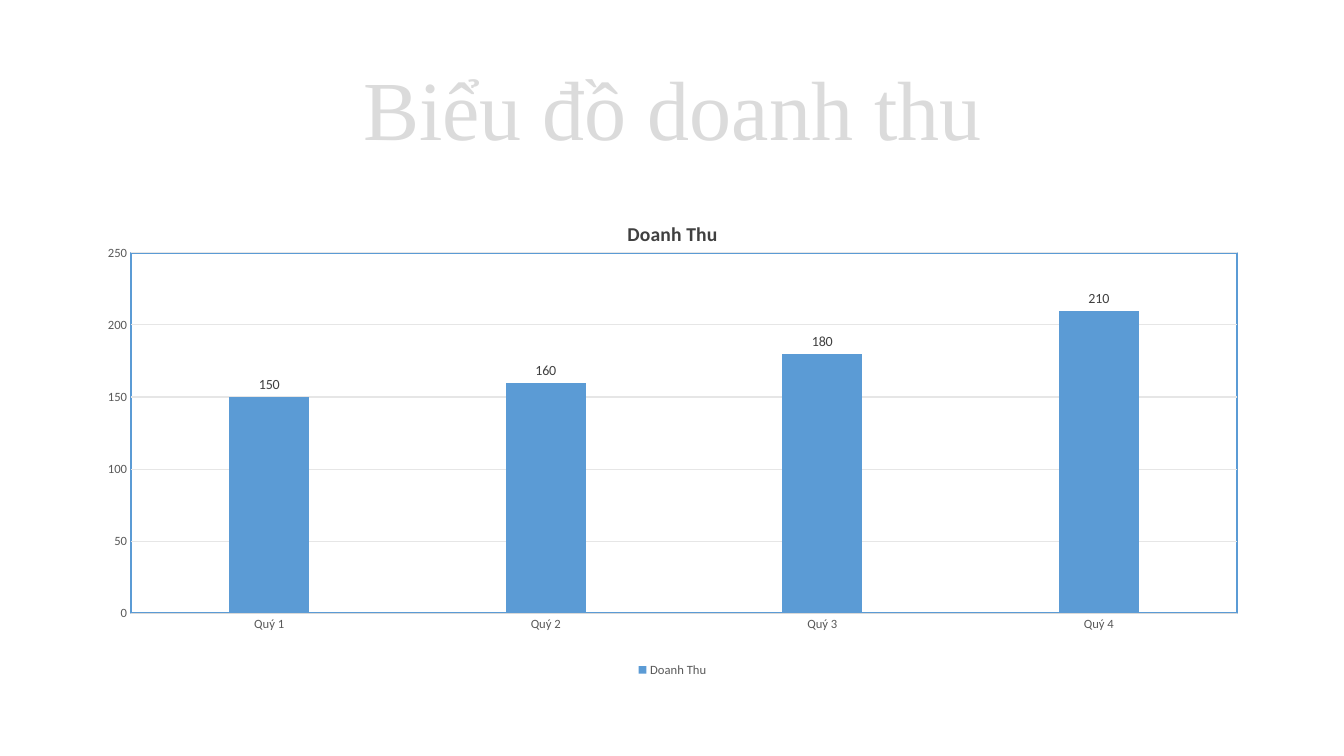
"""Build the quarterly revenue chart slide."""
from lxml import etree
from pptx import Presentation
from pptx.chart.data import CategoryChartData
from pptx.dml.color import RGBColor
from pptx.enum.chart import XL_CHART_TYPE, XL_LABEL_POSITION, XL_LEGEND_POSITION, XL_TICK_MARK
from pptx.enum.dml import MSO_PATTERN
from pptx.enum.text import MSO_ANCHOR, PP_ALIGN
from pptx.oxml import parse_xml
from pptx.oxml.ns import nsdecls, qn
from pptx.util import Emu, Pt

HEADING = "Biểu đồ doanh thu"
SERIES_NAME = "Doanh Thu"
REVENUE = {"Quý 1": 150, "Quý 2": 160, "Quý 3": 180, "Quý 4": 210}

PX = 9144
SLIDE_SIZE = (1333, 750)
HEADING_BOX = (92, 40, 1150, 145)
CHART_BOX = (92, 200, 1150, 476)
PLOT_LAYOUT = {"x": 0.033, "y": 0.107, "w": 0.954, "h": 0.751}

BLUE = RGBColor(0x5B, 0x9B, 0xD5)
BLACK = RGBColor(0, 0, 0)
DARK = RGBColor(0x40, 0x40, 0x40)
GREY = RGBColor(0x59, 0x59, 0x59)
AXIS = RGBColor(0xD9, 0xD9, 0xD9)
GRID = RGBColor(0xE6, 0xE6, 0xE6)
HATCH = RGBColor(0xA5, 0xA5, 0xA5)
PALE = RGBColor(0xDB, 0xDB, 0xDB)
OUTLINE = RGBColor(0x52, 0x52, 0x52)

COLUMNS = XL_CHART_TYPE.COLUMN_CLUSTERED
OUTSIDE_END = XL_LABEL_POSITION.OUTSIDE_END
BOTTOM = XL_LEGEND_POSITION.BOTTOM
NO_TICK = XL_TICK_MARK.NONE
NARROW_HORIZONTAL = MSO_PATTERN.NARROW_HORIZONTAL
CENTER = PP_ALIGN.CENTER
MIDDLE = MSO_ANCHOR.MIDDLE


def emu(box):
    return [Emu(length * PX) for length in box]


def style(font, size, color, bold=False):
    font.name, font.size, font.bold = "Calibri", Pt(size), bold
    font.color.rgb = color


def rule(line, color):
    line.color.rgb, line.width = color, Pt(0.75)


def outline_xml(color, width):
    return parse_xml(f'<a:ln {nsdecls("a")} w="{Pt(width)}"><a:solidFill>'
                     f'<a:srgbClr val="{color}"/></a:solidFill></a:ln>')


def add_heading(slide):
    heading = slide.shapes.title
    heading.left, heading.top, heading.width, heading.height = emu(HEADING_BOX)
    heading.text_frame.vertical_anchor = MIDDLE
    heading.text_frame.word_wrap = True
    paragraph = heading.text_frame.paragraphs[0]
    paragraph.alignment, paragraph.line_spacing = CENTER, 0.9
    run = paragraph.add_run()
    run.text = HEADING
    run.font.name, run.font.size = "Times New Roman", Pt(60)
    run.font.fill.patterned()
    run.font.fill.pattern = NARROW_HORIZONTAL
    run.font.fill.fore_color.rgb = HATCH
    run.font.fill.back_color.rgb = PALE
    run.font._element.insert(0, outline_xml(OUTLINE, 1))


def frame_plot(chart):
    plot_area = chart._chartSpace.chart.plotArea
    for old in plot_area.findall(qn("c:layout")):
        plot_area.remove(old)
    layout = etree.Element(qn("c:layout"))
    manual = etree.SubElement(layout, qn("c:manualLayout"))
    settings = {"layoutTarget": "inner", "xMode": "edge", "yMode": "edge", **PLOT_LAYOUT}
    for name, value in settings.items():
        etree.SubElement(manual, qn(f"c:{name}")).set("val", str(value))
    plot_area.insert(0, layout)
    border = etree.SubElement(plot_area, qn("c:spPr"))
    etree.SubElement(border, qn("a:noFill"))
    border.append(outline_xml(BLUE, 1.5))


def add_revenue_chart(slide):
    revenue = CategoryChartData()
    revenue.categories = list(REVENUE)
    revenue.add_series(SERIES_NAME, list(REVENUE.values()))
    chart = slide.shapes.add_chart(COLUMNS, *emu(CHART_BOX), revenue).chart
    style(chart.font, 10, BLACK)

    chart.has_title = True
    caption = chart.chart_title.text_frame.paragraphs[0].add_run()
    caption.text = SERIES_NAME
    style(caption.font, 14, DARK, True)
    chart.chart_title.include_in_layout = False

    chart.has_legend = True
    chart.legend.position = BOTTOM
    chart.legend.include_in_layout = False
    style(chart.legend.font, 9, GREY)

    quarters, amounts = chart.category_axis, chart.value_axis
    for axis in (quarters, amounts):
        axis.major_tick_mark = axis.minor_tick_mark = NO_TICK
        style(axis.tick_labels.font, 9, GREY)
    rule(quarters.format.line, AXIS)
    amounts.format.line.fill.background()
    amounts.minimum_scale, amounts.maximum_scale, amounts.major_unit = 0, 250, 50
    rule(amounts.major_gridlines.format.line, GRID)

    plot = chart.plots[0]
    plot.gap_width, plot.vary_by_categories = 246, False
    bars = plot.series[0]
    bars.format.fill.solid()
    bars.format.fill.fore_color.rgb = BLUE
    labels = bars.data_labels
    labels.show_value, labels.position = True, OUTSIDE_END
    style(labels.font, 10, DARK)
    frame_plot(chart)


def main():
    deck = Presentation()
    deck.slide_width, deck.slide_height = emu(SLIDE_SIZE)
    slide = deck.slides.add_slide(deck.slide_layouts[5])
    add_heading(slide)
    add_revenue_chart(slide)
    deck.save("out.pptx")


if __name__ == "__main__":
    main()
